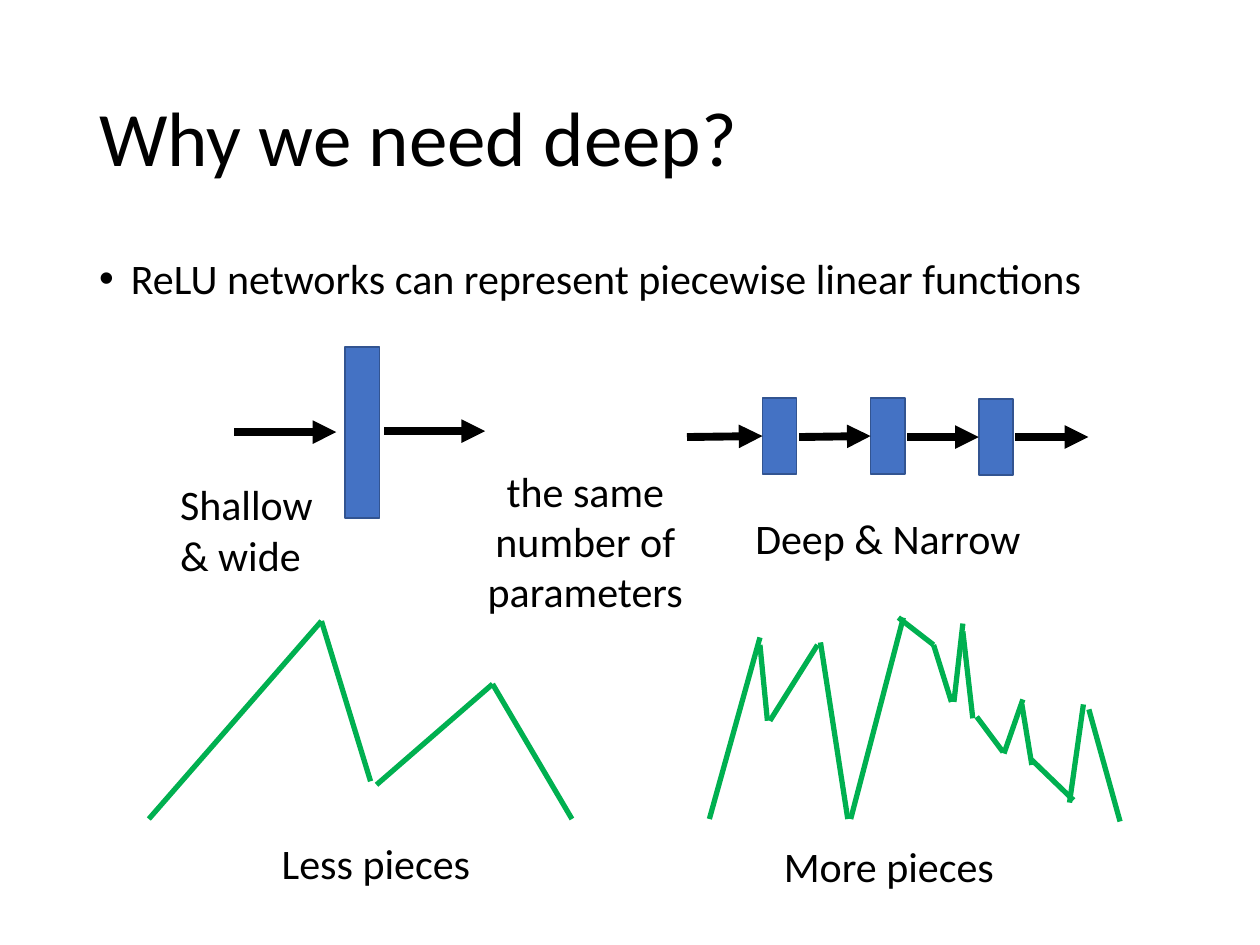
from lxml import etree
from pptx import Presentation, util as u
from pptx.dml.color import RGBColor
from pptx.enum import shapes, text
from pptx.oxml.ns import qn

THEME = {
    "font": "Calibri",
    "ink": RGBColor.from_string("000000"),
    "layer": RGBColor.from_string("4472C4"),
    "layer_edge": RGBColor.from_string("325491"),
    "piece": RGBColor.from_string("00B050"),
    "title": u.Pt(44),
    "body": u.Pt(24),
    "edge_width": u.Pt(1),
    "piece_width": u.Pt(3),
    "arrow_width": u.Pt(4.5),
}
LEFT, CENTER = text.PP_ALIGN.LEFT, text.PP_ALIGN.CENTER

# All lengths below are in centimetres.
TITLE = ("Why we need deep?", (1.75, 1.02, 21.9, 3.68))
CLAIM = ("ReLU networks can represent piecewise linear functions",
         (1.75, 5.08, 21.9, 12.09))
LABELS = [
    ("Less pieces", (3.86, 16.76, 7.44, 1.27), CENTER),
    ("More pieces", (14.2, 16.81, 7.44, 1.27), CENTER),
    ("Shallow & wide", (3.38, 9.53, 3.71, 2.31), LEFT),
    ("Deep & Narrow", (14.66, 10.21, 6.48, 1.27), CENTER),
    ("the same number of parameters", (9.55, 9.25, 4.5, 3.33), CENTER),
]

LAYER_WIDTH = 0.69
SHALLOW_LAYER = (6.96, 6.99, LAYER_WIDTH, 3.45)
SHALLOW_ARROWS = [((4.72, 8.71), (6.78, 8.71)), ((7.75, 8.69), (9.78, 8.69))]
DEEP_LEFT, DEEP_PITCH, DEEP_HEIGHT = 15.37, 2.18, 1.52
DEEP_TOPS = [8.03, 8.03, 8.05]
DEEP_FLOW, DEEP_ARROW, ARROW_GAP = 8.81, 1.47, 0.05

LESS_PIECES = [
    ((3, 16.51), (6.48, 12.52)), ((7.47, 15.75), (6.48, 12.52)),
    ((7.59, 15.82), (9.93, 13.79)), ((11.53, 16.51), (9.93, 13.79)),
]
MORE_PIECES = [
    ((14.3, 16.51), (15.32, 12.85)), ((15.47, 14.53), (15.32, 13)),
    ((15.52, 14.53), (16.48, 13)), ((17.09, 16.51), (16.54, 12.95)),
    ((17.15, 16.51), (18.21, 12.45)), ((18.82, 13), (18.11, 12.45)),
    ((19.18, 14.15), (18.82, 13)), ((19.23, 14.15), (19.41, 12.57)),
    ((19.61, 14.48), (19.41, 12.73)), ((20.22, 15.16), (19.69, 14.45)),
    ((20.62, 14.1), (20.24, 15.19)), ((20.6, 14.2), (20.8, 15.42)),
    ((20.8, 15.32), (21.64, 16.13)), ((21.56, 16.18), (21.84, 14.2)),
    ((22.58, 16.56), (21.95, 14.3)),
]


def set_all(target, formats):
    for name, value in formats.items():
        setattr(target, name, value)


def lengths(values):
    return [u.Cm(value) for value in values]


def add_label(slide, wording, place, size, align=LEFT, spacing=1.0,
              anchor=text.MSO_ANCHOR.TOP, bullet=False):
    label = slide.shapes.add_textbox(*lengths(place))
    set_all(label.text_frame, {"word_wrap": True, "vertical_anchor": anchor})
    line = label.text_frame.paragraphs[0]
    line.text = wording
    if bullet:
        properties = line._p.get_or_add_pPr()
        properties.set("marL", str(u.Cm(0.64)))
        properties.set("indent", str(-u.Cm(0.64)))
        etree.SubElement(properties, qn("a:buFont"), typeface="Arial")
        etree.SubElement(properties, qn("a:buChar"), char="•")
    set_all(line, {"alignment": align, "line_spacing": spacing})
    set_all(line.runs[0].font, {"name": THEME["font"], "size": size})
    line.runs[0].font.color.rgb = THEME["ink"]


def add_layer(slide, place):
    layer = slide.shapes.add_shape(shapes.MSO_SHAPE.RECTANGLE, *lengths(place))
    layer.shadow.inherit = False
    layer.fill.solid()
    layer.fill.fore_color.rgb = THEME["layer"]
    layer.line.color.rgb = THEME["layer_edge"]
    layer.line.width = THEME["edge_width"]
    return layer


def add_line(slide, ends, color, width):
    start, end = ends
    line = slide.shapes.add_connector(
        shapes.MSO_CONNECTOR.STRAIGHT, *lengths(start + end))
    line.line.color.rgb = color
    line.line.width = width
    etree.SubElement(line._element.spPr, qn("a:effectLst"))
    return line


def add_arrow(slide, ends):
    arrow = add_line(slide, ends, THEME["ink"], THEME["arrow_width"])
    etree.SubElement(arrow.line._get_or_add_ln(), qn("a:tailEnd"), type="triangle")
    return arrow


def add_deep_network(slide):
    """Draw the equally spaced layers, an arrow into each and one out."""
    lefts = [DEEP_LEFT + i * DEEP_PITCH for i in range(len(DEEP_TOPS))]
    layers = [add_layer(slide, (left, top, LAYER_WIDTH, DEEP_HEIGHT))
              for left, top in zip(lefts, DEEP_TOPS)]
    starts = [lefts[0] - ARROW_GAP - DEEP_ARROW]
    starts += [left + LAYER_WIDTH + ARROW_GAP for left in lefts]
    arrows = [add_arrow(slide, ((x, DEEP_FLOW), (x + DEEP_ARROW, DEEP_FLOW)))
              for x in starts]
    for arrow, layer in zip(arrows, layers):
        arrow.end_connect(layer, 1)


def main():
    deck = Presentation()
    set_all(deck, {"slide_width": u.Cm(25.4), "slide_height": u.Cm(19.05)})
    slide = deck.slides.add_slide(deck.slide_layouts[6])

    add_label(slide, *TITLE, THEME["title"], spacing=0.9,
              anchor=text.MSO_ANCHOR.MIDDLE)
    add_label(slide, *CLAIM, THEME["body"], spacing=0.9, bullet=True)
    for ends in LESS_PIECES + MORE_PIECES:
        add_line(slide, ends, THEME["piece"], THEME["piece_width"])
    add_layer(slide, SHALLOW_LAYER)
    for ends in SHALLOW_ARROWS:
        add_arrow(slide, ends)
    add_deep_network(slide)
    for wording, place, align in LABELS:
        add_label(slide, wording, place, THEME["body"], align)

    deck.save("out.pptx")


if __name__ == "__main__":
    main()
